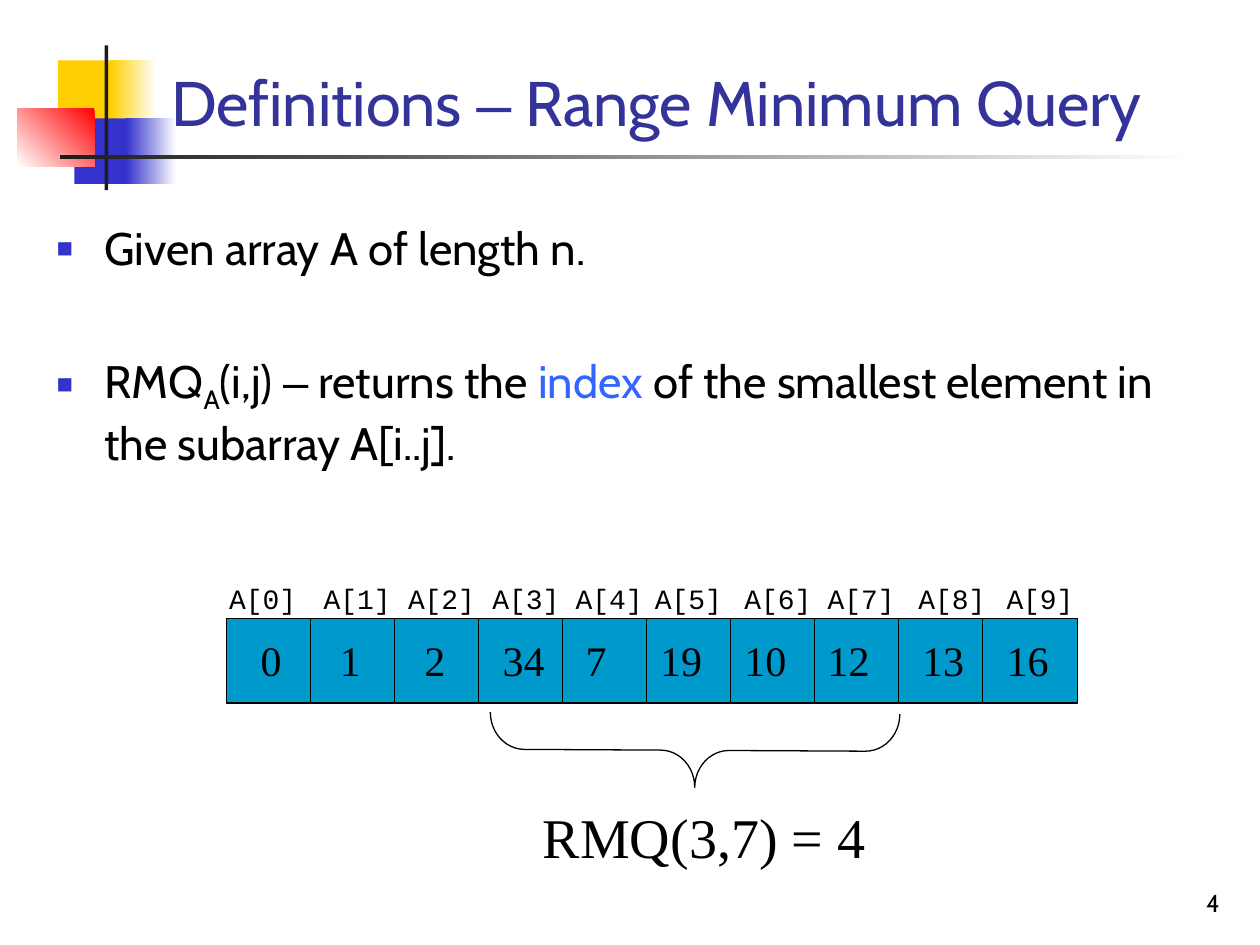
"""Build a slide that defines the range minimum query on an array."""
from lxml import etree
from pptx import Presentation
from pptx.dml.color import RGBColor
from pptx.enum.shapes import MSO_CONNECTOR, MSO_SHAPE
from pptx.enum.text import MSO_ANCHOR, PP_ALIGN
from pptx.oxml.ns import qn
from pptx.util import Inches, Pt

RECTANGLE, BRACE = MSO_SHAPE.RECTANGLE, MSO_SHAPE.LEFT_BRACE
STRAIGHT = MSO_CONNECTOR.STRAIGHT
TOP, BOTTOM = MSO_ANCHOR.TOP, MSO_ANCHOR.BOTTOM
LEFT, CENTER, RIGHT = PP_ALIGN.LEFT, PP_ALIGN.CENTER, PP_ALIGN.RIGHT

COLORS = {
    "white": "FFFFFF", "black": "000000", "yellow": "FFCF01", "blue": "3333CC",
    "red": "FF0000", "rule": "1C1C1C", "title": "333399", "index": "3366FF",
    "cell": "0099CC",
}
FORMATS = {
    "title": {"size": Pt(36), "name": "Cabin"},
    "body": {"size": Pt(26), "name": "Cabin"},
    "number": {"size": Pt(14), "name": "Cabin"},
    "value": {"size": Pt(24), "name": "Times New Roman"},
    "result": {"size": Pt(32), "name": "Times New Roman"},
    "label": {"size": Pt(16), "name": "Courier New"},
}


def color(name):
    return RGBColor.from_string(COLORS[name])


def add_text(box, runs, style, align=LEFT, anchor=TOP, wrap=True):
    text_box = slide.shapes.add_textbox(*map(Inches, box))
    frame = text_box.text_frame
    frame.word_wrap, frame.vertical_anchor = wrap, anchor
    paragraph = frame.paragraphs[0]
    paragraph.alignment = align
    fill_paragraph(paragraph, runs, style)
    return frame


def fill_paragraph(paragraph, runs, style):
    for text, color_name, changes in runs:
        run = paragraph.add_run()
        run.text = text
        for attribute, value in {**FORMATS[style], **changes}.items():
            setattr(run.font, attribute, value)
        run.font.color.rgb = color(color_name)


presentation = Presentation()
presentation.slide_width, presentation.slide_height = Inches(10), Inches(7.5)
slide = presentation.slides.add_slide(presentation.slide_layouts[6])

decorations = [
    ((0.46, 0.48, 0.48, 0.52), ["yellow"], 0),
    ((0.88, 0.48, 0.36, 0.52), ["white", "yellow"], 180),
    ((0.59, 0.94, 0.46, 0.52), ["blue"], 0),
    ((1, 0.94, 0.4, 0.52), ["white", "blue"], 180),
    ((0.14, 0.86, 0.61, 0.46), ["red", "white"], 225),
    ((0.83, 0.36, 0.03, 1.15), ["rule"], 0),
    ((0.48, 1.23, 9, 0.03), ["white", "rule"], 180),
]
for box, fill_colors, angle in decorations:
    shape = slide.shapes.add_shape(RECTANGLE, *map(Inches, box))
    shape.shadow.inherit = False
    shape.line.fill.background()
    if len(fill_colors) == 1:
        shape.fill.solid()
        shape.fill.fore_color.rgb = color(fill_colors[0])
    else:
        shape.fill.gradient()
        shape.fill.gradient_angle = angle
        for stop, name in zip(shape.fill.gradient_stops, fill_colors):
            stop.color.rgb = color(name)

add_text((7.7, 6.83, 2.08, 0.5), [("4", "black", {})], "number", RIGHT, BOTTOM)
add_text((1.26, 0.23, 8.52, 0.92), [
    ("Definitions ", "title", {}),
    ("–", "title", {"name": "Arial"}),
    (" Range Minimum Query", "title", {}),
], "title", anchor=BOTTOM)

body = add_text((0.35, 1.7, 9.45, 2.91),
                [("Given array A of length n.", "black", {})], "body")
definition = body.add_paragraph()
definition.space_before = Pt(44.6)
fill_paragraph(definition, [
    ("RMQ", "black", {}),
    ("A", "black", {}),
    ("(i,j) ", "black", {}),
    ("–", "black", {"name": "Arial"}),
    (" returns the ", "black", {}),
    ("index", "index", {}),
    (" of the smallest element in the subarray A[i..j].", "black", {}),
], "body")
definition.runs[1]._r.get_or_add_rPr().set("baseline", "-25000")

for paragraph in body.paragraphs:
    properties = paragraph._p.get_or_add_pPr()
    properties.set("marL", str(Inches(0.38)))
    properties.set("indent", str(-Inches(0.38)))
    bullet_color = etree.SubElement(properties, qn("a:buClr"))
    etree.SubElement(bullet_color, qn("a:srgbClr"), val=COLORS["blue"])
    etree.SubElement(properties, qn("a:buSzPct"), val="60000")
    etree.SubElement(properties, qn("a:buFont"), typeface="Arial")
    etree.SubElement(properties, qn("a:buChar"), char="■")

array_left, array_top, cell_width, cell_height = 1.8, 4.91, 2 / 3, 0.67
array = slide.shapes.add_shape(RECTANGLE, Inches(array_left), Inches(array_top),
                               Inches(6.75), Inches(cell_height))
array.fill.solid()
array.fill.fore_color.rgb = color("cell")
brace = slide.shapes.add_shape(BRACE, Inches(5.22), Inches(4.33),
                               Inches(0.59), Inches(3.25))
brace.fill.background()
brace.rotation = 270.3
brace.adjustments[0] = 0.46
outlined = [array, brace]
for shape in outlined:
    shape.shadow.inherit = False

cells = [
    (0, 1.97, 1.72), (1, 2.6, 2.47), (2, 3.27, 3.14), (34, 3.89, 3.81),
    (7, 4.55, 4.47), (19, 5.14, 5.1), (10, 5.81, 5.81), (12, 6.47, 6.47),
    (13, 7.22, 7.19), (16, 7.89, 7.89),
]
for index, (value, value_left, label_left) in enumerate(cells):
    if index:
        x = Inches(array_left + index * cell_width)
        divider = slide.shapes.add_connector(
            STRAIGHT, x, Inches(array_top), x, Inches(array_top + cell_height))
        etree.SubElement(divider._element.spPr, qn("a:effectLst"))
        outlined.append(divider)
    add_text((value_left, 4.99, 0.53, 0.5), [(str(value), "black", {})],
             "value", wrap=False)
    add_text((label_left, 4.57, 0.73, 0.37), [(f"A[{index}]", "black", {})],
             "label", wrap=False)

for shape in outlined:
    shape.line.color.rgb = color("black")
    shape.line.width = Pt(0.75)

add_text((4.21, 6.32, 2.76, 0.64), [("RMQ(3,7) = 4", "black", {})],
         "result", CENTER, wrap=False)

presentation.save("out.pptx")
